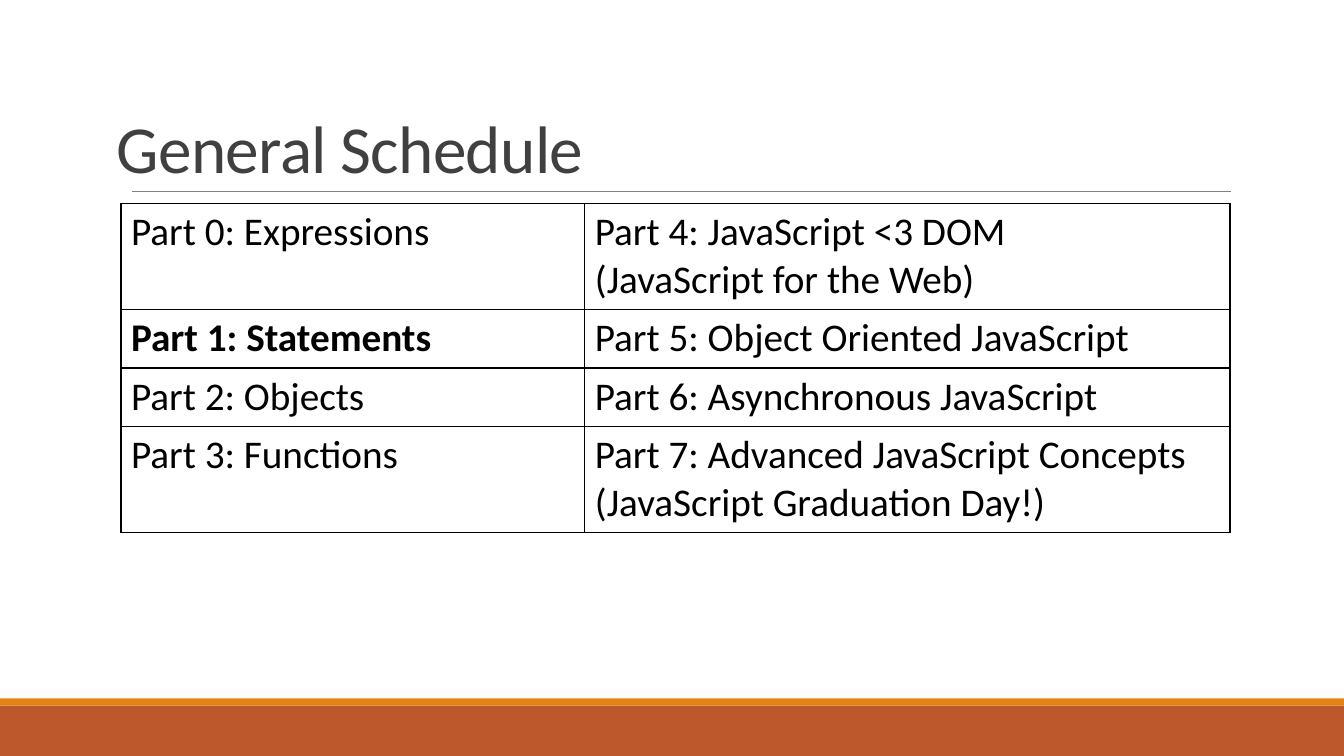
from lxml import etree
from pptx import Presentation
from pptx.dml.color import RGBColor
from pptx.enum.shapes import MSO_CONNECTOR, MSO_SHAPE
from pptx.enum.text import MSO_ANCHOR, MSO_AUTO_SIZE, PP_ALIGN
from pptx.oxml.ns import qn
from pptx.util import Inches, Pt

RECTANGLE = MSO_SHAPE.RECTANGLE
STRAIGHT = MSO_CONNECTOR.STRAIGHT
BOTTOM = MSO_ANCHOR.BOTTOM
TOP = MSO_ANCHOR.TOP
NO_FIT = MSO_AUTO_SIZE.NONE
LEFT = PP_ALIGN.LEFT
TITLE_ONLY = 5

SCHEDULE = [
    ("Part 0: Expressions", "Part 4: JavaScript <3 DOM\v(JavaScript for the Web)"),
    ("Part 1: Statements", "Part 5: Object Oriented JavaScript"),
    ("Part 2: Objects", "Part 6: Asynchronous JavaScript"),
    ("Part 3: Functions", "Part 7: Advanced JavaScript Concepts\v(JavaScript Graduation Day!)"),
]
CURRENT_PART = "Part 1: Statements"
COLUMN_WIDTHS = [4.6, 6.4]
ONE_LINE, TWO_LINES = 0.58, 1.05


def color(code):
    return RGBColor.from_string(code)


def apply(target, values):
    for name, value in values.items():
        setattr(target, name, value)


class ScheduleSlide:
    font = "Calibri"

    def __init__(self, deck):
        self.slide = deck.slides.add_slide(deck.slide_layouts[TITLE_ONLY])
        self.shapes = self.slide.shapes

    def place(self, shape, left, top, width, height):
        apply(shape, {"left": Inches(left), "top": Inches(top),
                      "width": Inches(width), "height": Inches(height)})

    def fill_para(self, para, text, size, code, bold=False):
        para.text = text
        para.alignment = LEFT
        for span in para.runs:
            apply(span.font, {"name": self.font, "size": Pt(size), "bold": bold})
            span.font.color.rgb = color(code)

    def title(self, text, *area):
        box = self.shapes.title
        self.place(box, *area)
        frame = box.text_frame
        apply(frame, {"vertical_anchor": BOTTOM, "word_wrap": True, "auto_size": NO_FIT})
        para = frame.paragraphs[0]
        self.fill_para(para, text, 48, "404040")
        para.line_spacing = 0.85
        para.runs[0].font._element.set("spc", "-50")

    def band(self, code, *area):
        band = self.shapes.add_shape(RECTANGLE, *map(Inches, area))
        band.shadow.inherit = False
        band.fill.solid()
        band.fill.fore_color.rgb = color(code)
        band.line.fill.background()

    def rule(self, code, weight, *ends):
        rule = self.shapes.add_connector(STRAIGHT, *map(Inches, ends))
        rule.line.color.rgb = color(code)
        rule.line.width = Pt(weight)
        etree.SubElement(rule._element.spPr, qn("a:effectLst"))

    def border(self, cell, code, weight):
        properties = cell._tc.get_or_add_tcPr()
        for index, side in enumerate(("lnL", "lnR", "lnT", "lnB")):
            edge = etree.Element(qn("a:" + side), w=str(Pt(weight)))
            fill = etree.SubElement(edge, qn("a:solidFill"))
            etree.SubElement(fill, qn("a:srgbClr"), val=code)
            properties.insert(index, edge)

    def table(self, rows, widths, left, top):
        heights = [TWO_LINES if any("\v" in text for text in row) else ONE_LINE for row in rows]
        area = map(Inches, (left, top, sum(widths), sum(heights)))
        table = self.shapes.add_table(len(rows), len(widths), *area).table
        apply(table, {"first_row": False, "horz_banding": False})
        for column, width in zip(table.columns, widths):
            column.width = Inches(width)
        for line, height, texts in zip(table.rows, heights, rows):
            line.height = Inches(height)
            for cell, text in zip(line.cells, texts):
                cell.vertical_anchor = TOP
                cell.fill.background()
                self.border(cell, "000000", 1)
                para = cell.text_frame.paragraphs[0]
                self.fill_para(para, text, 28, "000000", text == CURRENT_PART)


def main():
    deck = Presentation()
    apply(deck, {"slide_width": Inches(13.33), "slide_height": Inches(7.5)})
    page = ScheduleSlide(deck)
    page.band("BD582C", 0, 7, 13.33, 0.5)
    page.band("E48312", 0, 6.93, 13.33, 0.07)
    page.rule("808080", 0.5, 1.31, 1.9, 12.21, 1.9)
    page.title("General Schedule", 1.06, 0.32, 11, 1.59)
    page.table(SCHEDULE, COLUMN_WIDTHS, 1.2, 2.02)
    deck.save("out.pptx")


if __name__ == "__main__":
    main()
